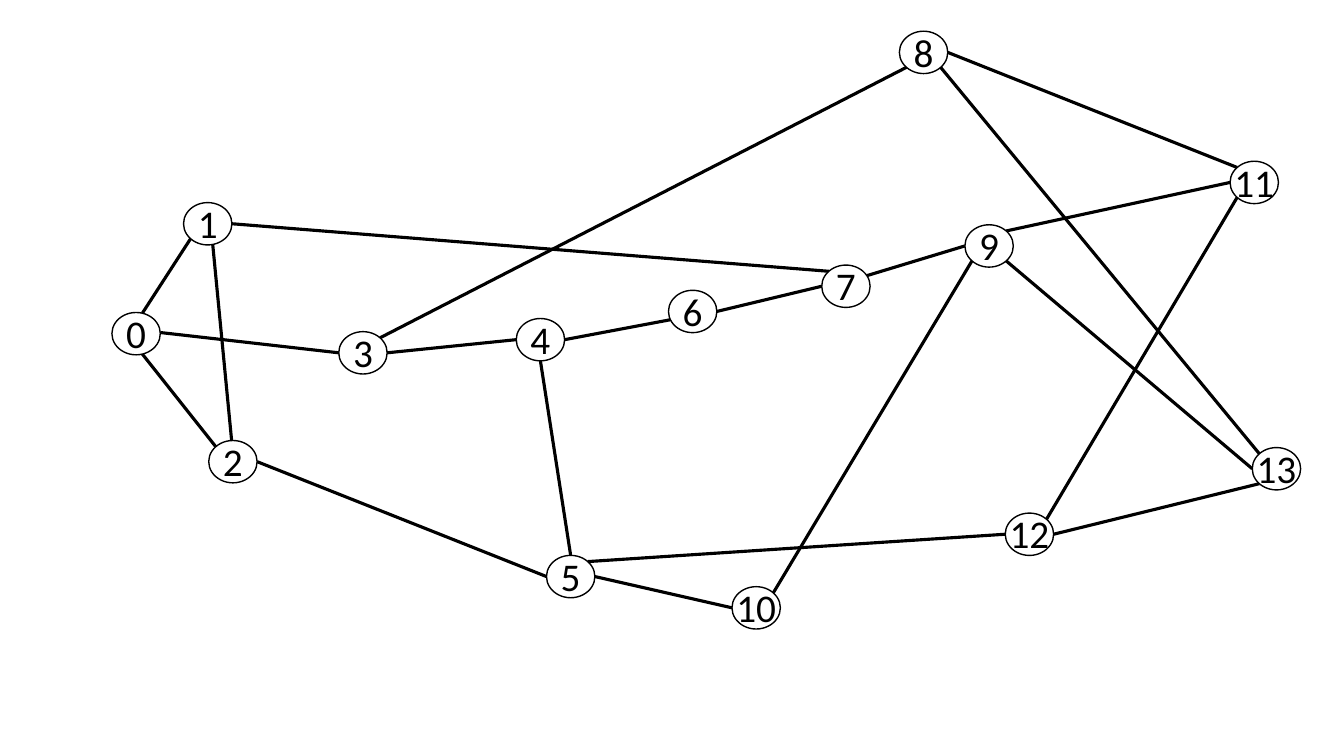
from math import cos, radians, sin

from lxml.etree import SubElement
from pptx import Presentation
from pptx.dml.color import RGBColor
from pptx.enum.shapes import MSO_CONNECTOR as Connector, MSO_SHAPE as Shape
from pptx.enum.text import MSO_ANCHOR as Anchor, PP_ALIGN as Align
from pptx.oxml.ns import qn
from pptx.util import Pt

EMU_PER_PX = 9144  # 100 px to the inch
COLOURS = {"ink": "000000", "paper": "FFFFFF"}
NODE_WIDTH, NODE_HEIGHT = 48, 42

# Left and top of each node, in px
NODES = {
    0: (111, 310), 1: (182, 201), 2: (207, 437), 3: (336, 329),
    4: (512, 316), 5: (542, 551), 6: (663, 288), 7: (815, 263),
    8: (892, 31), 9: (957, 223), 10: (726, 582), 11: (1220, 160),
    12: (997, 509), 13: (1242, 444),
}

# Angles on a node's rim, counter-clockwise from the right
E, NE, N, NW, W, SW, S, SE = range(0, 360, 45)

# Start node, angle at start, end node, angle at end
EDGES = [
    (0, 75, 1, SW), (0, 285, 2, NW), (0, 3, 3, W),
    (1, E, 7, NW), (1, 282, 2, 93), (2, E, 5, W),
    (3, E, 4, W), (3, NE, 8, SW), (4, E, 6, 203),
    (4, S, 5, N), (5, E, 10, W), (5, NE, 12, W),
    (6, E, 7, W), (7, 30, 9, W), (8, SE, 13, NW),
    (8, E, 11, NW), (9, SW, 10, NE), (9, SE, 13, W),
    (9, NE, 11, W), (11, SW, 12, NE), (12, E, 13, SW),
]


def px(length):
    return round(length * EMU_PER_PX)


def colour(name):
    return RGBColor.from_string(COLOURS[name])


def rim_point(node, angle):
    left, top = NODES[node]
    x = left + NODE_WIDTH / 2 * (1 + cos(radians(angle)))
    y = top + NODE_HEIGHT / 2 * (1 - sin(radians(angle)))
    return px(x), px(y)


def set_text(shape, text, size=28, font="Calibri", ink="ink", lift=2):
    frame = shape.text_frame
    frame.word_wrap = False
    frame.vertical_anchor = Anchor.MIDDLE
    frame.margin_left = frame.margin_right = frame.margin_top = 0
    frame.margin_bottom = px(lift)
    paragraph = frame.paragraphs[0]
    paragraph.alignment = Align.CENTER
    run = paragraph.add_run()
    run.text = text
    run.font.size = Pt(size)
    run.font.name = font
    run.font.color.rgb = colour(ink)


def set_line(shape, width):
    shape.line.color.rgb = colour("ink")
    shape.line.width = Pt(width)


def add_edge(slide, start, start_angle, end, end_angle):
    edge = slide.shapes.add_connector(
        Connector.STRAIGHT, *rim_point(start, start_angle), *rim_point(end, end_angle))
    set_line(edge, 2.25)
    SubElement(edge._element.spPr, qn("a:effectLst"))


def add_node(slide, number, left, top):
    node = slide.shapes.add_shape(
        Shape.OVAL, px(left), px(top), px(NODE_WIDTH), px(NODE_HEIGHT))
    node.shadow.inherit = False
    node.fill.solid()
    node.fill.fore_color.rgb = colour("paper")
    set_line(node, 1)
    set_text(node, str(number))


def main():
    presentation = Presentation()
    presentation.slide_width, presentation.slide_height = px(1333), px(750)
    slide = presentation.slides.add_slide(presentation.slide_layouts[6])

    # Edges behind, nodes in front
    for edge in EDGES:
        add_edge(slide, *edge)
    for number, (left, top) in NODES.items():
        add_node(slide, number, left, top)

    presentation.save("out.pptx")


if __name__ == "__main__":
    main()
